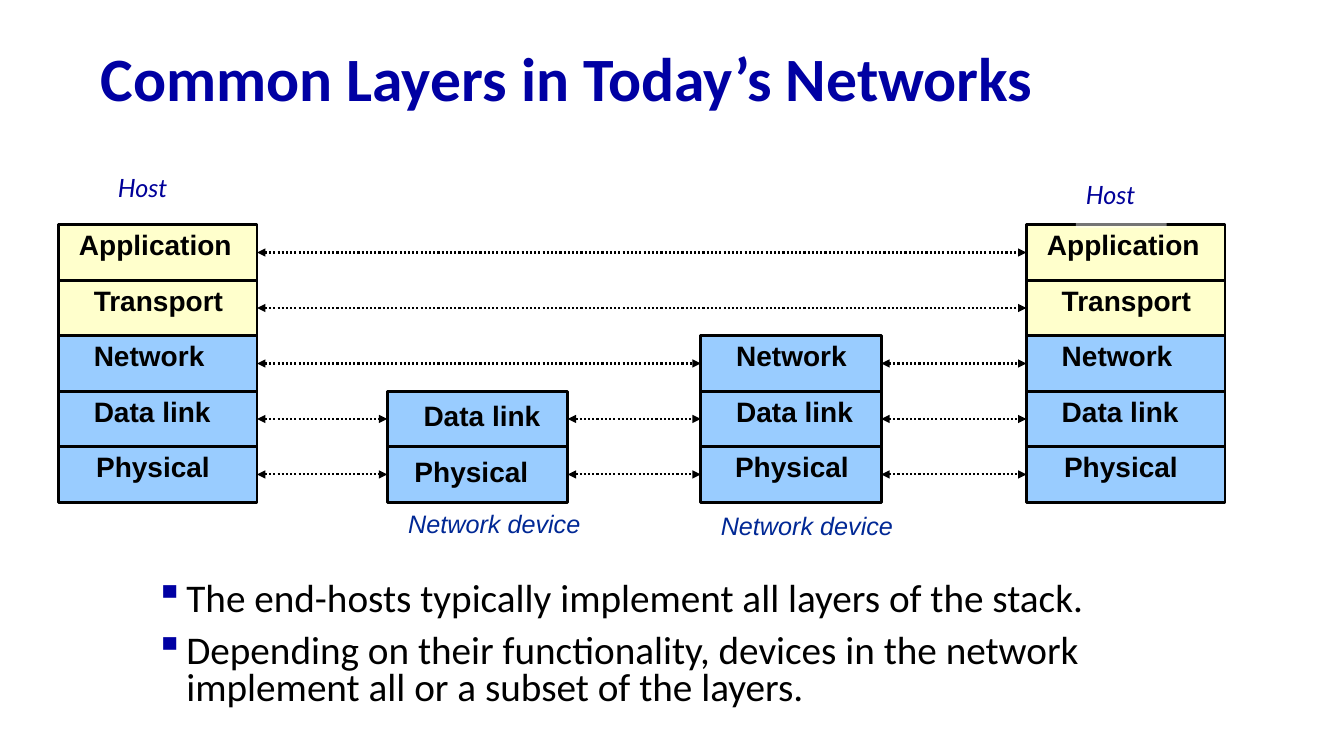
from dataclasses import dataclass

from lxml import etree
from pptx import Presentation
from pptx import util as u
from pptx.dml.color import RGBColor
from pptx.enum import dml, shapes, text
from pptx.oxml.ns import qn


@dataclass(frozen=True)
class Theme:
    """Colours, fonts and type sizes of the slide."""
    heading: str = "0000A3"
    host: str = "000099"
    device: str = "002895"
    ink: str = "000000"
    paper: str = "FFFFFF"
    upper: str = "FFFFCC"
    lower: str = "99CCFF"
    sans: str = "Calibri"
    diagram: str = "Arial"
    caption: str = "Lato"
    title_size: int = 44
    body_size: int = 28
    layer_size: int = 20
    caption_size: int = 18


def add_node(parent, tag, **attributes):
    """Append one DrawingML element."""
    return etree.SubElement(parent, qn(tag), attributes)


def write(paragraph, words, font, size, color, bold=False, italic=False,
          spacing=None, before=None):
    """Put formatted text in a paragraph."""
    paragraph.alignment = text.PP_ALIGN.LEFT
    if spacing:
        paragraph.line_spacing = spacing
    if before:
        paragraph.space_before = u.Pt(before)
    run = paragraph.add_run()
    run.text = words
    run.font.name, run.font.size = font, u.Pt(size)
    run.font.bold, run.font.italic = bold, italic
    run.font.color.rgb = RGBColor.from_string(color)


class LayerSlide:
    """Draws on one slide, with every length a percentage of its size."""

    def __init__(self, deck, theme):
        """Start a title-only slide."""
        self.deck, self.theme = deck, theme
        self.slide = deck.slides.add_slide(deck.slide_layouts[5])

    def x(self, share):
        """Turn a share of the width into a length."""
        return u.Emu(round(self.deck.slide_width * share / 100))

    def y(self, share):
        """Turn a share of the height into a length."""
        return u.Emu(round(self.deck.slide_height * share / 100))

    def area(self, left, top, width, height):
        """Turn four shares into a position and a size."""
        return self.x(left), self.y(top), self.x(width), self.y(height)

    def title(self, words, *area):
        """Fill and place the title."""
        heading = self.slide.shapes.title
        heading.left, heading.top, heading.width, heading.height = self.area(*area)
        heading.text_frame.vertical_anchor = text.MSO_ANCHOR.MIDDLE
        write(heading.text_frame.paragraphs[0], words, self.theme.sans,
              self.theme.title_size, self.theme.heading, bold=True, spacing=0.9)

    def panel(self, area, fill):
        """Add a plain rectangle with top-anchored text."""
        panel = self.slide.shapes.add_shape(
            shapes.MSO_SHAPE.RECTANGLE, *self.area(*area))
        panel.shadow.inherit = False
        panel.fill.solid()
        panel.fill.fore_color.rgb = RGBColor.from_string(fill)
        panel.text_frame.vertical_anchor = text.MSO_ANCHOR.TOP
        return panel

    def layer(self, words, area, fill, indent, drop):
        """Add one named layer of a stack."""
        layer = self.panel(area, fill)
        layer.line.color.rgb = RGBColor.from_string(self.theme.ink)
        layer.line.width = u.Pt(2)
        frame = layer.text_frame
        frame.margin_left, frame.margin_top = self.x(indent), self.y(drop)
        frame.margin_right = 0
        write(frame.paragraphs[0], words, self.theme.diagram,
              self.theme.layer_size, self.theme.ink, bold=True)

    def host_caption(self, words, *area):
        """Add a host's name on a translucent panel."""
        caption = self.panel(area, self.theme.paper)
        caption.line.fill.background()
        tint = next(caption.element.spPr.iter(qn("a:srgbClr")))
        add_node(tint, "a:alpha", val="46000")
        write(caption.text_frame.paragraphs[0], words, self.theme.caption,
              self.theme.caption_size, self.theme.host, italic=True)

    def text_box(self, area):
        """Add an empty wrapping text box."""
        frame = self.slide.shapes.add_textbox(*self.area(*area)).text_frame
        frame.word_wrap = True
        return frame

    def device_caption(self, words, *area):
        """Add a device's name."""
        write(self.text_box(area).paragraphs[0], words, self.theme.diagram,
              self.theme.caption_size, self.theme.device, italic=True)

    def link(self, start, end, level):
        """Add a dotted two-headed arrow between peers."""
        link = self.slide.shapes.add_connector(
            shapes.MSO_CONNECTOR.STRAIGHT,
            self.x(start), self.y(level), self.x(end), self.y(level))
        link.line.color.rgb = RGBColor.from_string(self.theme.ink)
        link.line.width = u.Pt(1.5)
        link.line.dash_style = dml.MSO_LINE.ROUND_DOT
        outline = link.line._get_or_add_ln()
        add_node(outline, "a:headEnd", type="triangle")
        add_node(outline, "a:tailEnd", type="triangle")
        add_node(link.element.spPr, "a:effectLst")

    def bullets(self, points, *area):
        """Add the bulleted remarks."""
        frame = self.text_box(area)
        for number, point in enumerate(points):
            paragraph = frame.add_paragraph() if number else frame.paragraphs[0]
            hang = self.x(2.33)
            properties = paragraph._p.get_or_add_pPr()
            properties.set("marL", str(hang))
            properties.set("indent", str(-hang))
            color = add_node(properties, "a:buClr")
            add_node(color, "a:srgbClr", val=self.theme.heading)
            add_node(properties, "a:buChar", char="▪")
            write(paragraph, point, self.theme.sans, self.theme.body_size,
                  self.theme.ink, spacing=0.8, before=10 if number else None)


LAYERS = ["Application", "Transport", "Network", "Data link", "Physical"]
STACK_TOP, ROW = 29.73, 7.34
HOST_WIDTH, DEVICE_WIDTH = 14.78, 13.43
HOST_INDENTS = [1.53, 2.63, 2.63, 2.63, 2.8]
STACKS = [
    (4.35, HOST_WIDTH, HOST_INDENTS, 0.4),
    (28.81, DEVICE_WIDTH, [2.7, 2.03], 1),
    (52.14, DEVICE_WIDTH, [2.63, 2.63, 2.55], 0.4),
    (76.37, HOST_WIDTH, HOST_INDENTS, 0.4),
]


def main():
    """Build and save the slide."""
    deck = Presentation()
    deck.slide_width, deck.slide_height = u.Inches(13.33), u.Inches(7.5)
    theme = Theme()
    page = LayerSlide(deck, theme)
    page.title("Common Layers in Today’s Networks", 6.75, 4.27, 86.27, 13.07)

    for row, name in enumerate(LAYERS):
        top = STACK_TOP + row * ROW
        fill = theme.upper if row < 2 else theme.lower
        peers = []
        for left, width, indents, drop in STACKS:
            depth = row - len(LAYERS) + len(indents)
            if depth >= 0:
                page.layer(name, (left, top, width, ROW), fill, indents[depth], drop)
                peers.append((left, left + width))
        for (_, start), (end, _) in zip(peers, peers[1:]):
            page.link(start, end, top + ROW / 2)

    for left, top in [(8.03, 22.13), (80.05, 23.07)]:
        page.host_caption("Host", left, top, 6.75, 7.07)
    for left, top in [(29.63, 66.53), (52.89, 66.8)]:
        page.device_caption("Network device", left, top, 16, 5.33)
    page.bullets([
        "The end-hosts typically implement all layers of the stack.",
        "Depending on their functionality, devices in the network "
        "implement all or a subset of the layers.",
    ], 10.8, 76.4, 80.12, 21.07)
    deck.save("out.pptx")


if __name__ == "__main__":
    main()
